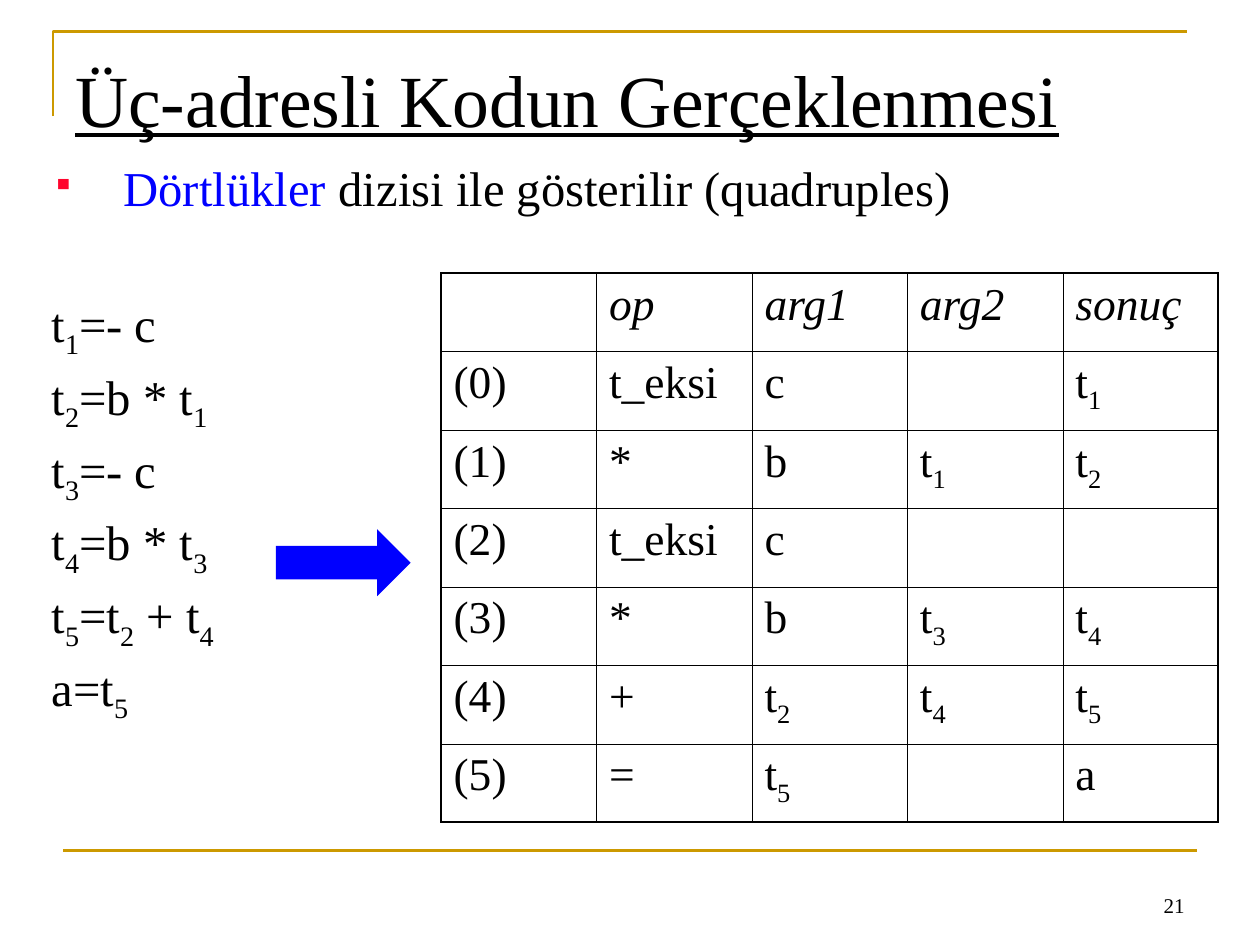
from lxml import etree
from pptx import Presentation
from pptx import util as u
from pptx.dml.color import RGBColor
from pptx.enum import shapes, text
from pptx.oxml import parse_xml
from pptx.oxml.ns import nsdecls, qn

FONT = "Times New Roman"
BLACK = RGBColor(0x00, 0x00, 0x00)
BLUE = RGBColor(0x00, 0x00, 0xFF)
GOLD = RGBColor(0xCC, 0x99, 0x00)
RED = RGBColor(0xFF, 0x04, 0x2D)


def write(paragraph, marked_text, size, italic=False):
    """Add runs to the paragraph; every second piece between bars is a subscript."""
    for index, piece in enumerate(marked_text.split("|")):
        if not piece:
            continue
        run = paragraph.add_run()
        run.text = piece
        run.font.name = FONT
        run.font.size = u.Pt(size)
        run.font.color.rgb = BLACK
        if italic:
            run.font.italic = True
        if index % 2:
            run.font._element.set("baseline", "-25000")


def add_text_box(left, top, width, height, anchor):
    frame = slide.shapes.add_textbox(u.Cm(left), u.Cm(top), u.Cm(width), u.Cm(height)).text_frame
    frame.word_wrap = True
    frame.vertical_anchor = anchor
    return frame


presentation = Presentation()
presentation.slide_width = u.Cm(25.4)
presentation.slide_height = u.Cm(19.05)
slide = presentation.slides.add_slide(presentation.slide_layouts[6])

# Gold frame lines
builder = slide.shapes.build_freeform(u.Cm(1.07), u.Cm(2.34))
builder.add_line_segments([(u.Cm(1.07), u.Cm(0.64)), (u.Cm(23.93), u.Cm(0.64))], close=False)
corner = builder.convert_to_shape()
corner.shadow.inherit = False
corner.fill.background()

footer_line = slide.shapes.add_connector(
    shapes.MSO_CONNECTOR.STRAIGHT, u.Cm(1.27), u.Cm(17.15), u.Cm(24.13), u.Cm(17.15))
etree.SubElement(footer_line._element.spPr, qn("a:effectLst"))

for frame_line in (corner, footer_line):
    frame_line.line.color.rgb = GOLD
    frame_line.line.width = u.Pt(1.5)

# Slide number and title
number_paragraph = add_text_box(18.21, 17.35, 5.92, 1.27, text.MSO_ANCHOR.BOTTOM).paragraphs[0]
number_paragraph.alignment = text.PP_ALIGN.RIGHT
write(number_paragraph, "21", 12)

title_frame = add_text_box(1.27, 0.76, 22.86, 3.18, text.MSO_ANCHOR.TOP)
title_frame.margin_top = u.Cm(0.32)
title_paragraph = title_frame.paragraphs[0]
write(title_paragraph, "Üç-adresli Kodun Gerçeklenmesi", 42)
title_paragraph.runs[0].font.underline = True

# Bullet and three-address code
body_frame = add_text_box(0.79, 3.2, 22.86, 12.57, text.MSO_ANCHOR.TOP)
bullet_paragraph = body_frame.paragraphs[0]
bullet_paragraph.line_spacing = 0.9
properties = bullet_paragraph._p.get_or_add_pPr()
properties.set("marL", str(u.Cm(1.45)))
properties.set("indent", str(-u.Cm(1.45)))
for bullet_xml in (
    f'<a:buClr {nsdecls("a")}><a:srgbClr val="{RED}"/></a:buClr>',
    f'<a:buSzPct {nsdecls("a")} val="65000"/>',
    f'<a:buChar {nsdecls("a")} char="▪"/>',
):
    properties.append(parse_xml(bullet_xml))
write(bullet_paragraph, "Dörtlükler ", 27.8)
write(bullet_paragraph, "dizisi ile gösterilir (quadruples)", 27.8)
bullet_paragraph.runs[0].font.color.rgb = BLUE

code_lines = ["t|1|=- c", "t|2|=b * t|1", "t|3|=- c", "t|4|=b * t|3", "t|5|=t|2| + t|4", "a=t|5"]
for index, code_line in enumerate(code_lines):
    paragraph = body_frame.add_paragraph()
    paragraph.line_spacing = 0.9
    paragraph.space_before = u.Pt(7.5 if index else 44)
    write(paragraph, code_line, 27.8)

# Table of quadruples
quadruples = [
    ["", "op", "arg1", "arg2", "sonuç"],
    ["(0)", "t_eksi", "c", "", "t|1"],
    ["(1)", "*", "b", "t|1", "t|2"],
    ["(2)", "t_eksi", "c", "", ""],
    ["(3)", "*", "b", "t|3", "t|4"],
    ["(4)", "+", "t|2", "t|4", "t|5"],
    ["(5)", "=", "t|5", "", "a"],
]
row_count, column_count = len(quadruples), len(quadruples[0])
table = slide.shapes.add_table(
    row_count, column_count, u.Cm(8.89), u.Cm(5.51), u.Cm(15.67), u.Cm(11.07)).table
table.first_row = False
table.horz_banding = False
for row_index, row in enumerate(quadruples):
    for column_index, marked_text in enumerate(row):
        cell = table.cell(row_index, column_index)
        write(cell.text_frame.paragraphs[0], marked_text, 26, italic=row_index == 0)
        outer_sides = {
            "lnL": column_index == 0,
            "lnR": column_index == column_count - 1,
            "lnT": row_index == 0,
            "lnB": row_index == row_count - 1,
        }
        cell_properties = cell._tc.get_or_add_tcPr()
        for side, is_outer in outer_sides.items():
            width = u.Pt(1.08 if is_outer else 0.45)
            cell_properties.append(parse_xml(
                f'<a:{side} {nsdecls("a")} w="{width}"><a:solidFill>'
                f'<a:srgbClr val="{BLACK}"/></a:solidFill></a:{side}>'))
        cell.fill.background()

# Arrow from the code to the table
arrow = slide.shapes.add_shape(
    shapes.MSO_SHAPE.RIGHT_ARROW, u.Cm(5.56), u.Cm(10.67), u.Cm(2.72), u.Cm(1.35))
arrow.shadow.inherit = False
arrow.fill.solid()
arrow.fill.fore_color.rgb = BLUE
arrow.line.fill.background()

presentation.save("out.pptx")
